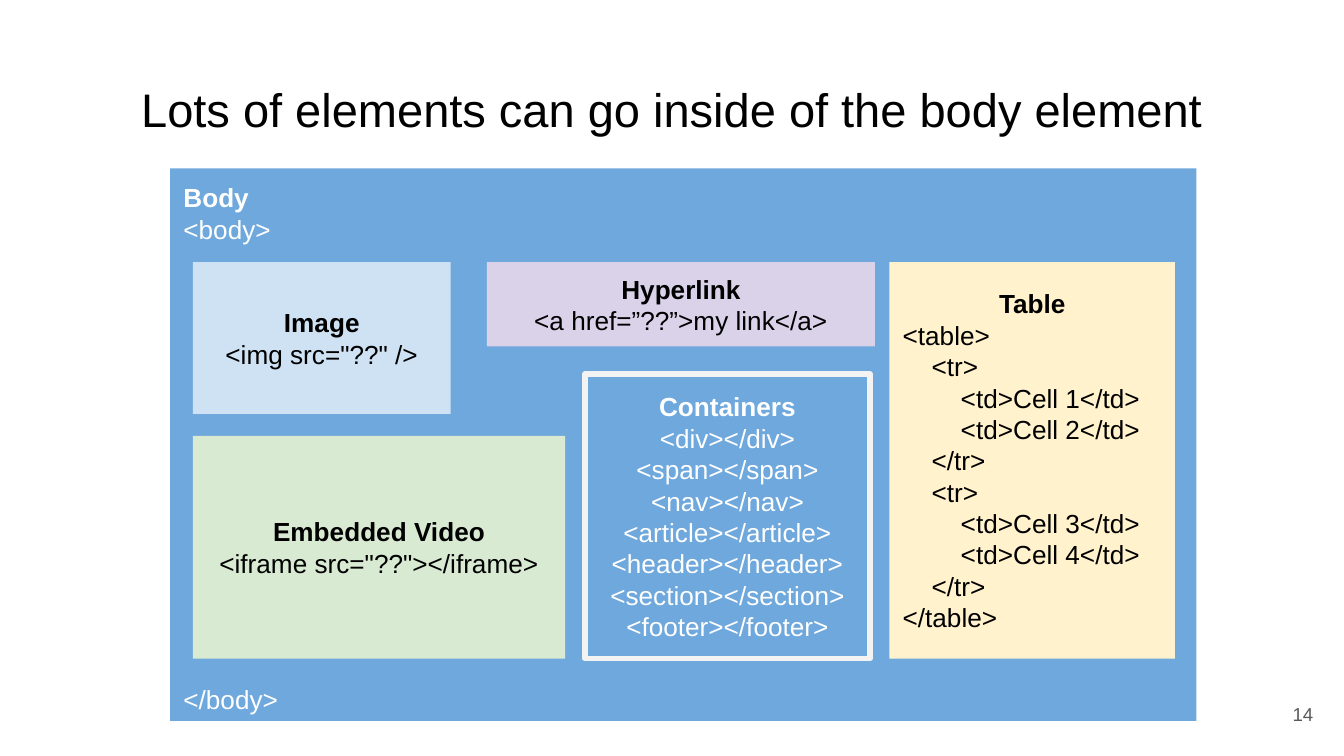
from pptx import Presentation
from pptx.dml.color import RGBColor
from pptx.enum.shapes import MSO_SHAPE
from pptx.enum.text import MSO_ANCHOR, PP_ALIGN
from pptx.util import Pt

LEFT, CENTER, RIGHT = PP_ALIGN.LEFT, PP_ALIGN.CENTER, PP_ALIGN.RIGHT
TOP, MIDDLE = MSO_ANCHOR.TOP, MSO_ANCHOR.MIDDLE
RECTANGLE = MSO_SHAPE.RECTANGLE

BLACK = RGBColor(0x00, 0x00, 0x00)
WHITE = RGBColor(0xFF, 0xFF, 0xFF)
GRAY = RGBColor(0x59, 0x59, 0x59)
OUTLINE = RGBColor(0xF3, 0xF3, 0xF3)
BODY_BLUE = RGBColor(0x6F, 0xA8, 0xDC)
IMAGE_BLUE = RGBColor(0xCF, 0xE2, 0xF3)
VIDEO_GREEN = RGBColor(0xD9, 0xEA, 0xD3)
LINK_PURPLE = RGBColor(0xD9, 0xD2, 0xE9)
TABLE_YELLOW = RGBColor(0xFF, 0xF2, 0xCC)

FONT = "Arial"
INSET = Pt(7.2)
CODE_SIZE = 14
CODE_LINE = 16.8
INDENT = Pt(15.56)

CONTAINER_TAGS = ["div", "span", "nav", "article", "header", "section", "footer"]
TABLE_LINES = [
    (0, "<table>"),
    (1, "<tr>"), (2, "<td>Cell 1</td>"), (2, "<td>Cell 2</td>"), (1, "</tr>"),
    (1, "<tr>"), (2, "<td>Cell 3</td>"), (2, "<td>Cell 4</td>"), (1, "</tr>"),
    (0, "</table>"),
]


def prepare_frame(shape, anchor):
    """Set wrapping, insets and anchor, and return the text frame."""
    frame = shape.text_frame
    frame.word_wrap = True
    frame.vertical_anchor = anchor
    frame.margin_left = frame.margin_right = INSET
    frame.margin_top = frame.margin_bottom = INSET
    return frame


def format_paragraph(paragraph, size, color, alignment, line_height, bold=False):
    """Format a paragraph and its runs."""
    paragraph.alignment = alignment
    paragraph.line_spacing = Pt(line_height)
    for run in paragraph.runs:
        run.font.name = FONT
        run.font.size = Pt(size)
        run.font.bold = bold
        run.font.color.rgb = color


def add_label(slide, box, text, size, color, alignment, line_height, anchor=TOP):
    """Add a one-line text box."""
    shape = slide.shapes.add_textbox(*map(Pt, box))
    frame = prepare_frame(shape, anchor)
    frame.text = text
    format_paragraph(frame.paragraphs[0], size, color, alignment, line_height)


def add_element_box(slide, box, heading, lines, fill=None, color=BLACK,
                    alignment=CENTER, heading_alignment=CENTER, anchor=MIDDLE):
    """Add a rectangle with a bold heading over code lines; return its paragraphs.

    Each line is a pair of indent level and text. Without a fill the box is outlined.
    """
    shape = slide.shapes.add_shape(RECTANGLE, *map(Pt, box))
    shape.shadow.inherit = False
    if fill is None:
        shape.fill.background()
        shape.line.color.rgb = OUTLINE
        shape.line.width = Pt(3)
    else:
        shape.fill.solid()
        shape.fill.fore_color.rgb = fill
        shape.line.fill.background()

    frame = prepare_frame(shape, anchor)
    frame.text = "\n".join([heading] + [text for _, text in lines])
    first, *code = frame.paragraphs
    format_paragraph(first, CODE_SIZE, color, heading_alignment, CODE_LINE, bold=True)
    for paragraph, (level, _) in zip(code, lines):
        format_paragraph(paragraph, CODE_SIZE, color, alignment, CODE_LINE)
        if level:
            paragraph._p.get_or_add_pPr().set("marL", str(level * INDENT))
    return frame.paragraphs


def main():
    """Build the slide and save it."""
    presentation = Presentation()
    presentation.slide_width = Pt(720)
    presentation.slide_height = Pt(405)
    slide = presentation.slides.add_slide(presentation.slide_layouts[6])

    add_label(slide, (24.5, 35.3, 671, 45.4),
              "Lots of elements can go inside of the body element",
              25.2, BLACK, CENTER, 31)
    add_label(slide, (667.4, 367.2, 43.2, 31), "14", 10, GRAY, RIGHT, 12, MIDDLE)

    body = add_element_box(slide, (91.2, 90.2, 549.8, 296), "Body",
                           [(0, "<body>"), (0, "</body>")], BODY_BLUE, WHITE,
                           LEFT, LEFT, TOP)
    body[-1].space_before = Pt(235.2)

    add_element_box(slide, (103.4, 140.4, 138, 81.4), "Image",
                    [(0, '<img src="??" />')], IMAGE_BLUE)
    add_element_box(slide, (103.4, 233.5, 199.4, 119.4), "Embedded Video",
                    [(0, '<iframe src="??"></iframe>')], VIDEO_GREEN)
    add_element_box(slide, (260.9, 140.4, 207.9, 45.2), "Hyperlink",
                    [(0, "<a href=”??”>my link</a>")], LINK_PURPLE)
    add_element_box(slide, (313.4, 200.3, 152.7, 152.6), "Containers",
                    [(0, f"<{tag}></{tag}>") for tag in CONTAINER_TAGS], color=WHITE)
    add_element_box(slide, (476.5, 140.4, 153, 212.5), "Table", TABLE_LINES,
                    TABLE_YELLOW, alignment=LEFT)

    presentation.save("out.pptx")


main()
